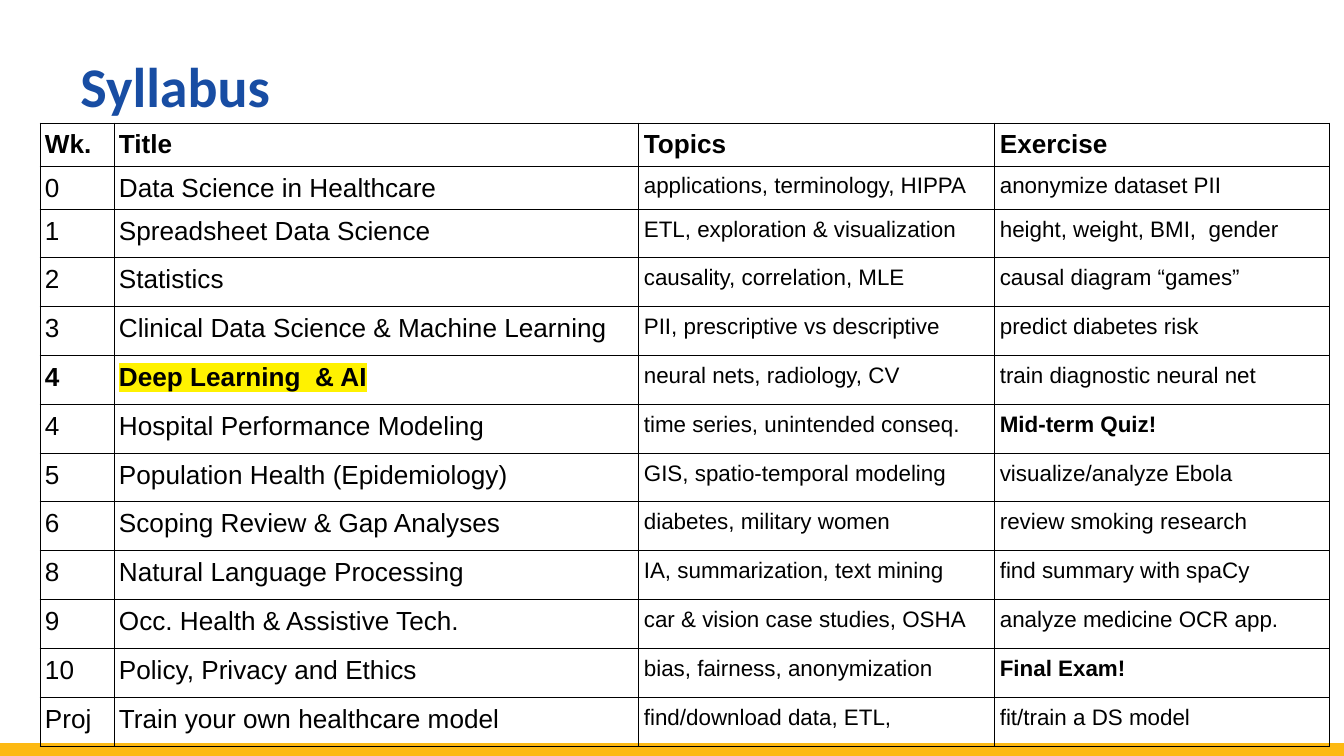
from lxml.etree import SubElement
from pptx import Presentation
from pptx.dml.color import RGBColor
from pptx.enum.shapes import MSO_CONNECTOR
from pptx.enum.text import MSO_ANCHOR, PP_ALIGN
from pptx.oxml.ns import qn
from pptx.util import Pt

PX = 914400 / 134.4
WIDE, HIGH = 1344, 756
COLORS = {"ink": "000000", "title": "184DA3", "bar": "FDB913", "mark": "FFF200"}
COLS = [74, 525, 356, 335]
HEAD = 43
ROWS = [
    ("Wk.", "Title", "Topics", "Exercise"),
    ("0", "Data Science in Healthcare", "applications, terminology, HIPPA", "anonymize dataset PII"),
    ("1", "Spreadsheet Data Science", "ETL, exploration & visualization", "height, weight, BMI,  gender"),
    ("2", "Statistics", "causality, correlation, MLE", "causal diagram “games”"),
    ("3", "Clinical Data Science & Machine Learning", "PII, prescriptive vs descriptive", "predict diabetes risk"),
    ("4", "Deep Learning  & AI", "neural nets, radiology, CV", "train diagnostic neural net"),
    ("4", "Hospital Performance Modeling", "time series, unintended conseq.", "Mid-term Quiz!"),
    ("5", "Population Health (Epidemiology)", "GIS, spatio-temporal modeling", "visualize/analyze Ebola"),
    ("6", "Scoping Review & Gap Analyses", "diabetes, military women", "review smoking research"),
    ("8", "Natural Language Processing", "IA, summarization, text mining", "find summary with spaCy"),
    ("9", "Occ. Health & Assistive Tech.", "car & vision case studies, OSHA", "analyze medicine OCR app."),
    ("10", "Policy, Privacy and Ethics", "bias, fairness, anonymization", "Final Exam!"),
    ("Proj", "Train your own healthcare model", "find/download data, ETL,", "fit/train a DS model"),
]
FOCUS = 5
EXAMS = {"Mid-term Quiz!", "Final Exam!"}


def px(size):
    return round(size * PX)


def write(frame, text, size=14, font="Arial", color="ink", bold=False, mark=None, line=None):
    para = frame.paragraphs[0]
    para.alignment = PP_ALIGN.LEFT
    if line:
        para.line_spacing = Pt(line)
    run = para.add_run()
    run.text = text
    run.font.size = Pt(size)
    run.font.name = font
    run.font.bold = bold
    run.font.color.rgb = RGBColor.from_string(COLORS[color])
    if mark:
        props = run.font._element
        light = props.makeelement(qn("a:highlight"), {})
        props.find(qn("a:solidFill")).addnext(light)
        SubElement(light, qn("a:srgbClr"), val=COLORS[mark])


def border(cell):
    props = cell._tc.get_or_add_tcPr()
    for index, side in enumerate(("lnL", "lnR", "lnT", "lnB")):
        edge = props.makeelement(qn(f"a:{side}"), {"w": str(Pt(0.57))})
        props.insert(index, edge)
        fill = SubElement(edge, qn("a:solidFill"))
        SubElement(fill, qn("a:srgbClr"), val=COLORS["ink"])


def add_bar(slide, left, mid, width):
    bar = slide.shapes.add_connector(
        MSO_CONNECTOR.STRAIGHT, px(left), px(mid), px(left + width), px(mid))
    bar.line.color.rgb = RGBColor.from_string(COLORS["bar"])
    bar.line.width = Pt(8)
    SubElement(bar._element.spPr, qn("a:effectLst"))


def add_title(slide, left, top, width, height):
    title = slide.shapes.title
    title.left, title.top = px(left), px(top)
    title.width, title.height = px(width), px(height)
    frame = title.text_frame
    frame.vertical_anchor = MSO_ANCHOR.TOP
    frame.margin_top = px(10)
    write(frame, "Syllabus", size=30, font="Calibri", color="title", bold=True, line=58)


def add_plan(slide, left, top, width, height):
    table = slide.shapes.add_table(
        len(ROWS), len(COLS), px(left), px(top), px(width), px(height)).table
    table.first_row = table.horz_banding = False
    for col, size in zip(table.columns, COLS):
        col.width = px(size)
    count = len(ROWS) - 2
    space = height - 2 * HEAD
    edges = [space * step // count for step in range(count + 1)]
    sizes = [HEAD, HEAD] + [low - high for high, low in zip(edges, edges[1:])]
    for row, size in zip(table.rows, sizes):
        row.height = px(size)
    for r, texts in enumerate(ROWS):
        for c, text in enumerate(texts):
            cell = table.cell(r, c)
            cell.fill.background()
            cell.margin_left = cell.margin_right = px(5)
            cell.margin_top = cell.margin_bottom = px(7)
            border(cell)
            write(cell.text_frame, text,
                  size=12 if r and c > 1 else 14,
                  bold=r == 0 or (r == FOCUS and c < 2) or text in EXAMS,
                  mark="mark" if (r, c) == (FOCUS, 1) else None)


def main():
    deck = Presentation()
    deck.slide_width, deck.slide_height = px(WIDE), px(HIGH)
    slide = deck.slides.add_slide(deck.slide_layouts[5])
    add_bar(slide, 0, 750, WIDE)
    add_title(slide, 67, 0, 1210, 176)
    add_plan(slide, 40, 123, sum(COLS), 623)
    deck.save("out.pptx")


if __name__ == "__main__":
    main()
